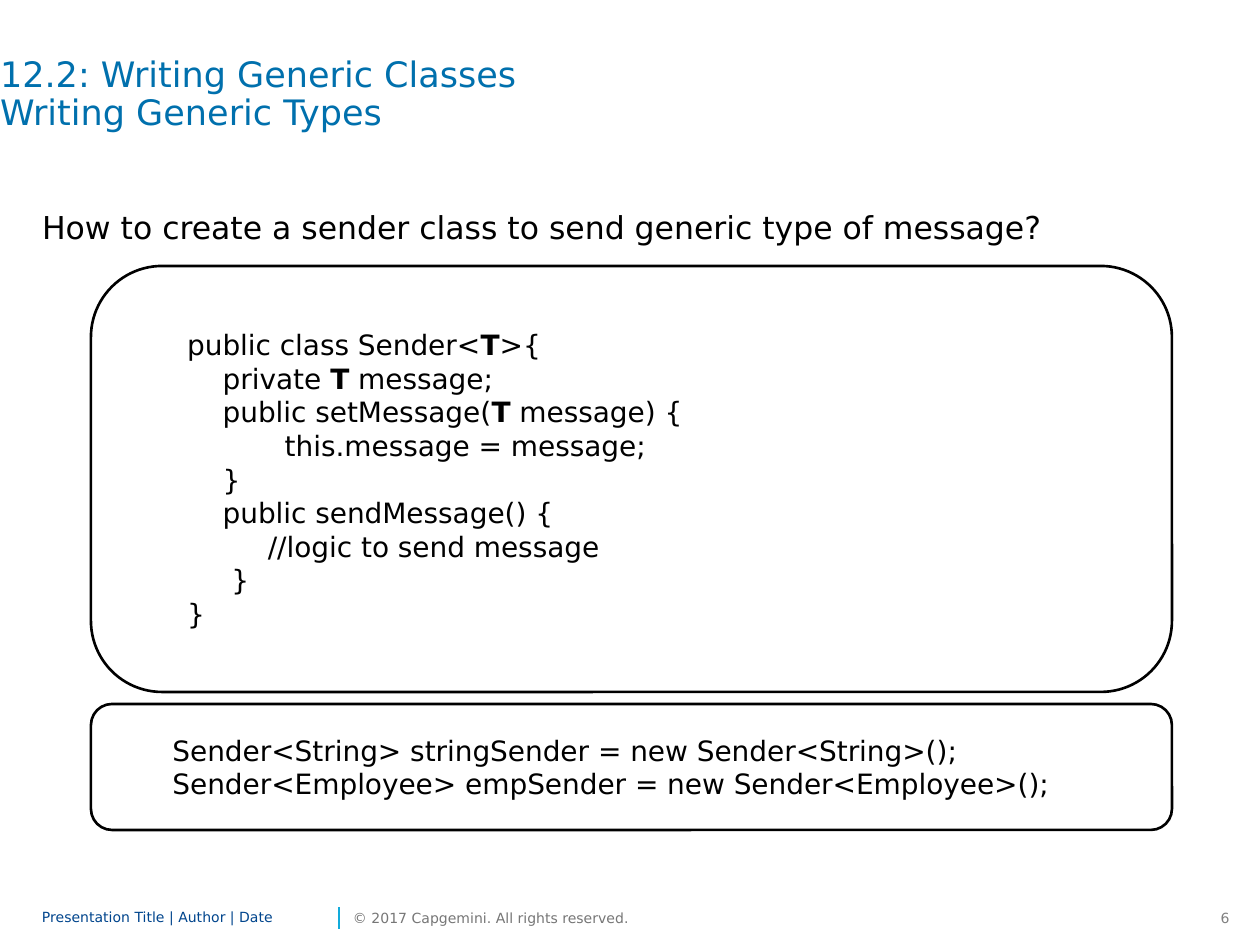
from dataclasses import dataclass

from pptx import Presentation
from pptx.dml.color import RGBColor as Color
from pptx.enum.shapes import MSO_CONNECTOR as Connector, MSO_SHAPE as Shape
from pptx.enum.text import MSO_ANCHOR as Anchor, MSO_AUTO_SIZE as AutoSize, PP_ALIGN as Align
from pptx.oxml.ns import qn
from pptx.util import Emu, Pt


@dataclass(frozen=True)
class Theme:
    font: str = "DejaVu Sans"
    title: str = "0070AD"
    text: str = "000000"
    footer: str = "00458D"
    rights: str = "767676"
    number: str = "808080"
    divider: str = "12ABDB"
    title_size: int = 20
    body_size: int = 18
    code_size: int = 16
    footer_size: int = 8


THEME = Theme()
BOX_LEFT, BOX_WIDTH = 91, 1081
CODE_INDENT = 63
SENDER_CLASS = [
    "public class Sender<|T|>{",
    "    private |T| message;",
    "    public setMessage(|T| message) {\n           this.message = message;",
    "    }",
    "    public sendMessage() {\n\t  //logic to send message",
    "     }",
    "}",
]
SENDER_USES = [
    "Sender<String> stringSender = new Sender<String>();",
    "Sender<Employee> empSender = new Sender<Employee>();",
]


def px(value):
    return Emu(round(value * 914400 / 126))


def place(shape, left, top, width, height):
    shape.left, shape.top, shape.width, shape.height = map(px, (left, top, width, height))


def style(paragraph, size, color, align=Align.LEFT):
    paragraph.alignment = align
    font = paragraph.font
    font.name, font.size = THEME.font, Pt(size)
    font.color.rgb = Color.from_string(color)


def set_frame(frame, anchor, wrap=True, inset=0):
    frame.auto_size = AutoSize.NONE
    frame.word_wrap = wrap
    frame.vertical_anchor = anchor
    frame.margin_left = frame.margin_right = px(inset)
    frame.margin_top = frame.margin_bottom = px(inset / 2)


def set_indent(paragraph, margin, bullet=True):
    properties = paragraph._p.get_or_add_pPr()
    properties.set("marL", str(px(margin)))
    properties.set("indent", "0")
    if not bullet:
        properties.append(properties.makeelement(qn("a:buNone"), {}))


def fill_title(shape, text):
    place(shape, 0, 57, 1176, 118)
    set_frame(shape.text_frame, Anchor.TOP)
    paragraph = shape.text_frame.paragraphs[0]
    paragraph.text = text
    paragraph.line_spacing = 0.9
    style(paragraph, THEME.title_size, THEME.title)


def fill_body(shape, text):
    place(shape, 42, 207, 1218, 640)
    set_frame(shape.text_frame, Anchor.TOP)
    paragraph = shape.text_frame.paragraphs[0]
    paragraph.text = text
    set_indent(paragraph, 0, bullet=False)
    paragraph.line_spacing = Pt(22)
    paragraph.space_before, paragraph.space_after = Pt(0), Pt(6)
    style(paragraph, THEME.body_size, THEME.text)


def add_code_line(paragraph, code):
    for row_index, row in enumerate(code.split("\n")):
        if row_index:
            paragraph.add_line_break()
        for index, piece in enumerate(row.split("|")):
            run = paragraph.add_run()
            run.text = piece
            if index % 2:
                run.font.bold = True


def add_code_box(slide, top, height, lines):
    box = slide.shapes.add_shape(
        Shape.ROUNDED_RECTANGLE, px(BOX_LEFT), px(top), px(BOX_WIDTH), px(height))
    box.shadow.inherit = False
    box.adjustments[0] = 0.167
    box.fill.background()
    box.line.color.rgb = Color.from_string(THEME.text)
    box.line.width = Pt(1.5)
    frame = box.text_frame
    set_frame(frame, Anchor.MIDDLE, wrap=False, inset=12.6)
    for index, line in enumerate(lines):
        paragraph = frame.add_paragraph() if index else frame.paragraphs[0]
        paragraph.level = 1
        set_indent(paragraph, CODE_INDENT)
        add_code_line(paragraph, line)
        style(paragraph, THEME.code_size, THEME.text)


def add_footer_text(slide, left, width, text, color, anchor=Anchor.MIDDLE,
                    wrap=False, inset=0, align=Align.LEFT):
    box = slide.shapes.add_textbox(px(left), px(903), px(width), px(30))
    set_frame(box.text_frame, anchor, wrap, inset)
    paragraph = box.text_frame.paragraphs[0]
    paragraph.text = text
    style(paragraph, THEME.footer_size, color, align)
    return paragraph


def add_divider(slide, x, top, bottom):
    line = slide.shapes.add_connector(Connector.STRAIGHT, px(x), px(bottom), px(x), px(top))
    line.line.color.rgb = Color.from_string(THEME.divider)
    line.line.width = Pt(1)
    properties = line._element.spPr
    properties.append(properties.makeelement(qn("a:effectLst"), {}))


def add_footer(slide):
    add_footer_text(slide, 1193, 49, "6", THEME.number,
                    anchor=Anchor.TOP, inset=12.6, align=Align.RIGHT)
    add_divider(slide, 339, 907, 929)
    caption = add_footer_text(slide, 42, 292, "Presentation Title | Author | Date",
                              THEME.footer, wrap=True)
    caption.line_spacing = 0.85
    add_footer_text(slide, 353, 229, "© 2017 Capgemini. All rights reserved.", THEME.rights)


def main():
    presentation = Presentation()
    presentation.slide_width, presentation.slide_height = px(1260), px(945)
    slide = presentation.slides.add_slide(presentation.slide_layouts[1])
    fill_title(slide.shapes.title, "12.2: Writing Generic Classes\vWriting Generic Types")
    fill_body(slide.placeholders[1],
              "How to create a sender class to send generic type of message?")
    add_code_box(slide, 266, 426, SENDER_CLASS)
    add_code_box(slide, 704, 126, SENDER_USES)
    add_footer(slide)
    presentation.save("out.pptx")


if __name__ == "__main__":
    main()
